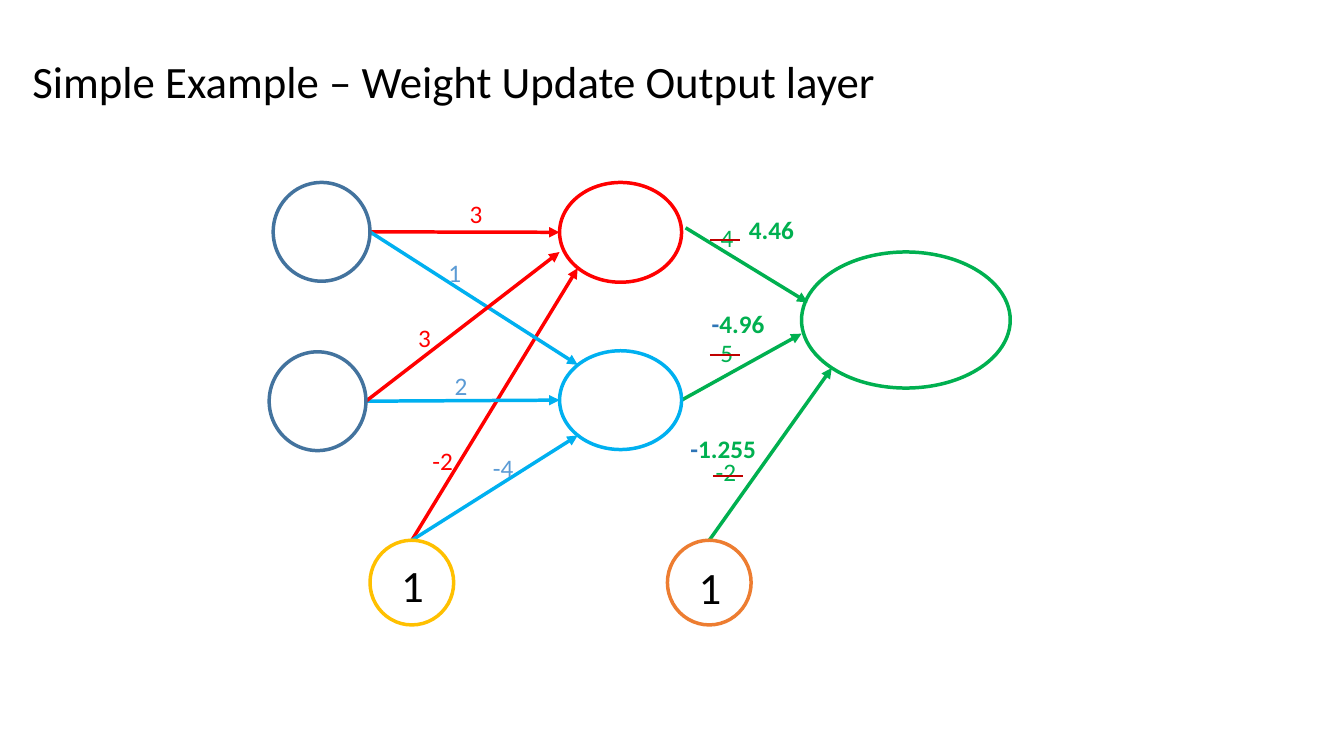
"""Build a slide showing output-layer weight updates in a small neural network."""
from dataclasses import dataclass

from lxml.etree import SubElement
from pptx import Presentation
from pptx.dml.color import RGBColor
from pptx.enum.shapes import MSO_CONNECTOR, MSO_SHAPE
from pptx.enum.text import MSO_ANCHOR, MSO_AUTO_SIZE, PP_ALIGN
from pptx.oxml.ns import qn
from pptx.shapes.connector import Connector
from pptx.shapes.shapetree import GroupShapes
from pptx.util import Inches, Pt

BLACK = RGBColor(0x00, 0x00, 0x00)
STEEL = RGBColor(0x43, 0x73, 0x9E)
RED = RGBColor(0xFF, 0x00, 0x00)
DARK_RED = RGBColor(0xC0, 0x00, 0x00)
CYAN = RGBColor(0x00, 0xB0, 0xF0)
GREEN = RGBColor(0x00, 0xB0, 0x50)
ORANGE = RGBColor(0xED, 0x7D, 0x31)
GOLD = RGBColor(0xFF, 0xC0, 0x00)
BLUE = RGBColor(0x5B, 0x9B, 0xD5)
MINUS_BLUE = RGBColor(0x2E, 0x75, 0xB6)

Point = tuple[float, float]


@dataclass(frozen=True)
class Node:
    left: float
    top: float
    width: float
    height: float
    color: RGBColor

    @property
    def west(self) -> Point:
        return self.left, self.top + self.height / 2

    @property
    def east(self) -> Point:
        return self.left + self.width, self.top + self.height / 2

    @property
    def north(self) -> Point:
        return self.left + self.width / 2, self.top


@dataclass(frozen=True)
class Edge:
    start: Point
    end: Point
    color: RGBColor


@dataclass(frozen=True)
class Label:
    left: float
    top: float
    width: float
    runs: tuple[tuple[str, RGBColor], ...]
    size: int = 18
    bold: bool = False
    height: float = 0.4


INPUT_1 = Node(2.71, 1.81, 0.96, 0.98, STEEL)
INPUT_2 = Node(2.67, 3.49, 0.96, 0.98, STEEL)
HIDDEN_1 = Node(5.55, 1.81, 1.21, 0.99, RED)
HIDDEN_2 = Node(5.55, 3.48, 1.21, 0.98, CYAN)
OUTPUT = Node(7.95, 2.5, 2.07, 1.35, GREEN)
HIDDEN_BIAS = Node(3.67, 5.36, 0.83, 0.84, GOLD)
OUTPUT_BIAS = Node(6.62, 5.36, 0.83, 0.84, ORANGE)
NODES = (INPUT_1, INPUT_2, HIDDEN_1, HIDDEN_2, OUTPUT, HIDDEN_BIAS, OUTPUT_BIAS)

EDGES = (
    Edge(HIDDEN_BIAS.north, (5.73, 2.66), RED),
    Edge(INPUT_2.east, HIDDEN_2.west, CYAN),
    Edge(INPUT_1.east, HIDDEN_1.west, RED),
    Edge(OUTPUT_BIAS.north, (8.25, 3.65), GREEN),
    Edge(INPUT_1.east, (5.73, 3.62), CYAN),
    Edge(INPUT_2.east, (5.55, 2.5), RED),
    Edge(HIDDEN_2.east, (7.95, 3.31), GREEN),
    Edge((6.8, 2.26), (8.01, 3), GREEN),
    Edge(HIDDEN_BIAS.north, (5.73, 4.32), CYAN),
)

WEIGHTS = (
    Label(3.88, 5.48, 0.4, (("1", BLACK),), 32, height=0.64),
    Label(6.83, 5.5, 0.4, (("1", BLACK),), 32, height=0.64),
    Label(7.05, 2.16, 0.57, (("4", GREEN),)),
    Label(6.97, 3.3, 0.57, (("-5", GREEN),)),
    Label(4.19, 4.37, 0.57, (("-2", RED),)),
    Label(4.05, 3.15, 0.4, (("3", RED),)),
    Label(4.56, 1.92, 0.4, (("3", RED),)),
    Label(4.35, 2.5, 0.4, (("1", BLUE),)),
    Label(4.41, 3.62, 0.4, (("2", BLUE),)),
    Label(7, 4.48, 0.57, (("-2", GREEN),)),
    Label(4.79, 4.44, 0.57, (("-4", BLUE),)),
)
STRIKES = ((7.04, 2.38), (7.04, 3.52), (7.07, 4.72))
STRIKE_LENGTH = 0.3
UPDATED_WEIGHTS = (
    Label(7.33, 2.08, 0.92, (("4.46", GREEN),), bold=True),
    Label(6.96, 3.01, 0.92, (("-", MINUS_BLUE), ("4.96", GREEN)), bold=True),
    Label(6.75, 4.25, 0.92, (("-", MINUS_BLUE), ("1.255", GREEN)), bold=True),
)


def apply_format(target: object, values: dict[str, object]) -> None:
    for name, value in values.items():
        setattr(target, name, value)


def add_node(shapes: GroupShapes, node: Node) -> None:
    box = map(Inches, (node.left, node.top, node.width, node.height))
    shape = shapes.add_shape(MSO_SHAPE.OVAL, *box)
    shape.shadow.inherit = False
    shape.fill.background()
    shape.line.color.rgb = node.color
    shape.line.width = Pt(2.5)


def add_line(shapes: GroupShapes, edge: Edge, width: float) -> Connector:
    ends = map(Inches, (*edge.start, *edge.end))
    connector = shapes.add_connector(MSO_CONNECTOR.STRAIGHT, *ends)
    connector.line.color.rgb = edge.color
    connector.line.width = Pt(width)
    SubElement(connector._element.spPr, qn("a:effectLst"))
    return connector


def add_arrow(shapes: GroupShapes, edge: Edge) -> None:
    connector = add_line(shapes, edge, 2.5)
    outline = connector._element.spPr.find(qn("a:ln"))
    SubElement(outline, qn("a:tailEnd"), type="triangle")


def add_label(shapes: GroupShapes, label: Label) -> None:
    box = map(Inches, (label.left, label.top, label.width, label.height))
    frame = shapes.add_textbox(*box).text_frame
    apply_format(frame, {"word_wrap": True, "auto_size": MSO_AUTO_SIZE.SHAPE_TO_FIT_TEXT})
    for text, color in label.runs:
        run = frame.paragraphs[0].add_run()
        run.text = text
        apply_format(run.font, {"name": "Calibri", "size": Pt(label.size), "bold": label.bold})
        run.font.color.rgb = color


def main() -> None:
    presentation = Presentation()
    apply_format(presentation, {"slide_width": Inches(13.33), "slide_height": Inches(7.5)})
    slide = presentation.slides.add_slide(presentation.slide_layouts[5])

    title = slide.shapes.title
    apply_format(title, {"left": Inches(0.22), "top": Inches(0.11),
                         "width": Inches(11.5), "height": Inches(1.45)})
    frame = title.text_frame
    frame.text = "Simple Example – Weight Update Output layer"
    apply_format(frame, {"vertical_anchor": MSO_ANCHOR.MIDDLE, "word_wrap": True,
                         "auto_size": MSO_AUTO_SIZE.NONE})
    paragraph = frame.paragraphs[0]
    apply_format(paragraph, {"alignment": PP_ALIGN.LEFT, "line_spacing": 0.9})
    font = paragraph.runs[0].font
    apply_format(font, {"name": "Calibri", "size": Pt(32)})
    font.color.rgb = BLACK

    network = slide.shapes.add_group_shape().shapes
    for edge in EDGES:
        add_arrow(network, edge)
    for node in NODES:
        add_node(network, node)
    for label in WEIGHTS:
        add_label(network, label)
    for left, top in STRIKES:
        add_line(network, Edge((left, top), (left + STRIKE_LENGTH, top), DARK_RED), 1.75)
    for label in UPDATED_WEIGHTS:
        add_label(network, label)

    presentation.save("out.pptx")


if __name__ == "__main__":
    main()
